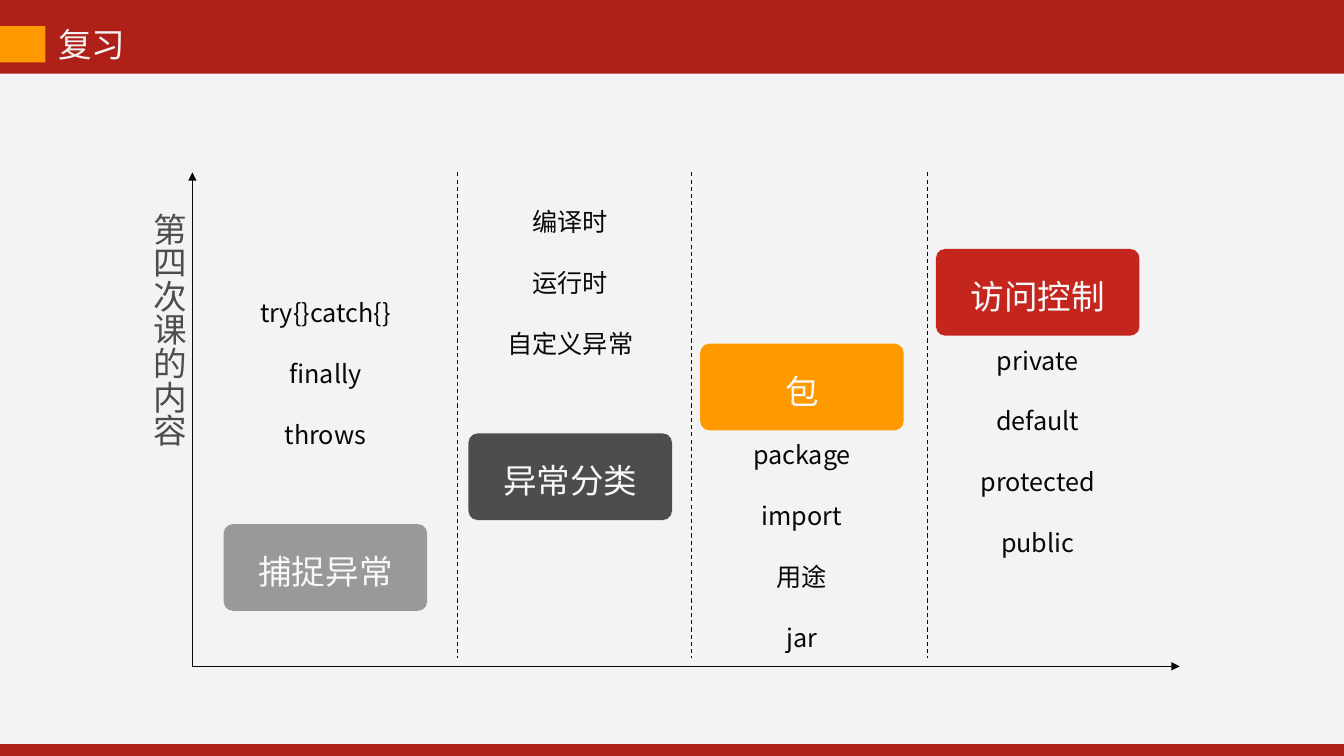
from lxml.etree import SubElement
from pptx import Presentation
from pptx.dml.color import RGBColor
from pptx.enum.dml import MSO_LINE
from pptx.enum.shapes import MSO_CONNECTOR, MSO_SHAPE
from pptx.enum.text import MSO_ANCHOR, PP_ALIGN
from pptx.oxml.ns import qn
from pptx.util import Inches, Pt

RED = RGBColor(0xAF, 0x20, 0x19)
BRIGHT_RED = RGBColor(0xC4, 0x26, 0x1D)
ORANGE = RGBColor(0xFF, 0x99, 0x00)
GRAY = RGBColor(0x99, 0x99, 0x99)
DARK_GRAY = RGBColor(0x4D, 0x4D, 0x4D)
PALE = RGBColor(0xF3, 0xF3, 0xF3)
WHITE = RGBColor(0xF8, 0xF8, 0xF8)
BLACK = RGBColor(0x08, 0x08, 0x08)
FONT = "Noto Sans CJK SC"

TITLE = "复习"
AXIS_LABEL = "第四次课的内容"
# heading, colour, card left, card top, items top, items
TOPICS = [
    ("捕捉异常", GRAY, 2.22, 5.2, 2.9, ["try{}catch{}", "finally", "throws"]),
    ("异常分类", DARK_GRAY, 4.65, 4.3, 2.0, ["编译时", "运行时", "自定义异常"]),
    ("包", ORANGE, 6.95, 3.41, 4.31, ["package", "import", "用途", "jar"]),
    ("访问控制", BRIGHT_RED, 9.29, 2.47, 3.37,
     ["private", "default", "protected", "public"]),
]
DIVIDERS = [4.54, 6.86, 9.21]

CARD_W, CARD_H = 2.02, 0.86
ITEMS_W = 1.72
ITEM_LINE = 21.7
AXIS_X, AXIS_Y = 1.91, 6.61
AXIS_TOP, AXIS_RIGHT = 1.71, 11.71
DIVIDER_BOTTOM = 6.53

prs = Presentation()
prs.slide_width, prs.slide_height = Inches(13.34), Inches(7.5)
s = prs.slides.add_slide(prs.slide_layouts[6])
s.background.fill.solid()
s.background.fill.fore_color.rgb = RED


def add_block(kind, x, y, w, h, color):
    sp = s.shapes.add_shape(kind, Inches(x), Inches(y), Inches(w), Inches(h))
    sp.shadow.inherit = False
    sp.fill.solid()
    sp.fill.fore_color.rgb = color
    sp.line.fill.background()
    return sp


def write(tf, lines, size, color, font=FONT, align=PP_ALIGN.LEFT):
    tf.text = "\n".join(lines)
    for p in tf.paragraphs:
        p.alignment = align
        for r in p.runs:
            r.font.name = font
            r.font.size = Pt(size)
            r.font.color.rgb = color
            SubElement(r.font._element, qn("a:ea"), typeface=FONT)


def add_text(x, y, w, h, lines, size, color, **style):
    tf = s.shapes.add_textbox(Inches(x), Inches(y), Inches(w), Inches(h)).text_frame
    tf.word_wrap = True
    write(tf, lines, size, color, **style)
    return tf


def add_line(x1, y1, x2, y2, arrow=False):
    """Draw a solid arrow, or a dashed line without a head."""
    line = s.shapes.add_connector(MSO_CONNECTOR.STRAIGHT, Inches(x1), Inches(y1),
                                  Inches(x2), Inches(y2))
    line.line.color.rgb = BLACK
    line.line.width = Pt(0.75)
    if arrow:
        SubElement(line.line._get_or_add_ln(), qn("a:tailEnd"), type="triangle")
    else:
        line.line.dash_style = MSO_LINE.DASH
    SubElement(line._element.spPr, qn("a:effectLst"))


add_block(MSO_SHAPE.RECTANGLE, 0, 0.73, 13.34, 6.65, PALE)
add_block(MSO_SHAPE.RECTANGLE, 0, 0.26, 0.45, 0.36, ORANGE)
add_text(0.48, 0.19, 0.88, 0.5, [TITLE], 24, PALE).word_wrap = False

add_line(AXIS_X, AXIS_Y, AXIS_X, AXIS_TOP, arrow=True)
add_line(AXIS_X, AXIS_Y, AXIS_RIGHT, AXIS_Y, arrow=True)
for x in DIVIDERS:
    add_line(x, AXIS_TOP, x, DIVIDER_BOTTOM)

label = add_text(1.32, 2.01, 0.61, 2.71, [AXIS_LABEL], 24, DARK_GRAY)
label._txBody.bodyPr.set("vert", "eaVert")

for heading, color, x, y, items_y, items in TOPICS:
    card = add_block(MSO_SHAPE.ROUNDED_RECTANGLE, x, y, CARD_W, CARD_H, color)
    card.adjustments[0] = 0.106
    tf = card.text_frame
    tf.vertical_anchor = MSO_ANCHOR.MIDDLE
    tf.margin_top = Inches(0.12)
    write(tf, [heading], 24, WHITE, font="Arial", align=PP_ALIGN.CENTER)

    items_h = (2 * len(items) - 1) * 0.3 + 0.12
    tf = add_text(x + (CARD_W - ITEMS_W) / 2, items_y, ITEMS_W, items_h,
                  items, 18, BLACK, align=PP_ALIGN.CENTER)
    for p in tf.paragraphs:
        p.line_spacing = p.space_after = Pt(ITEM_LINE)

prs.save("out.pptx")
